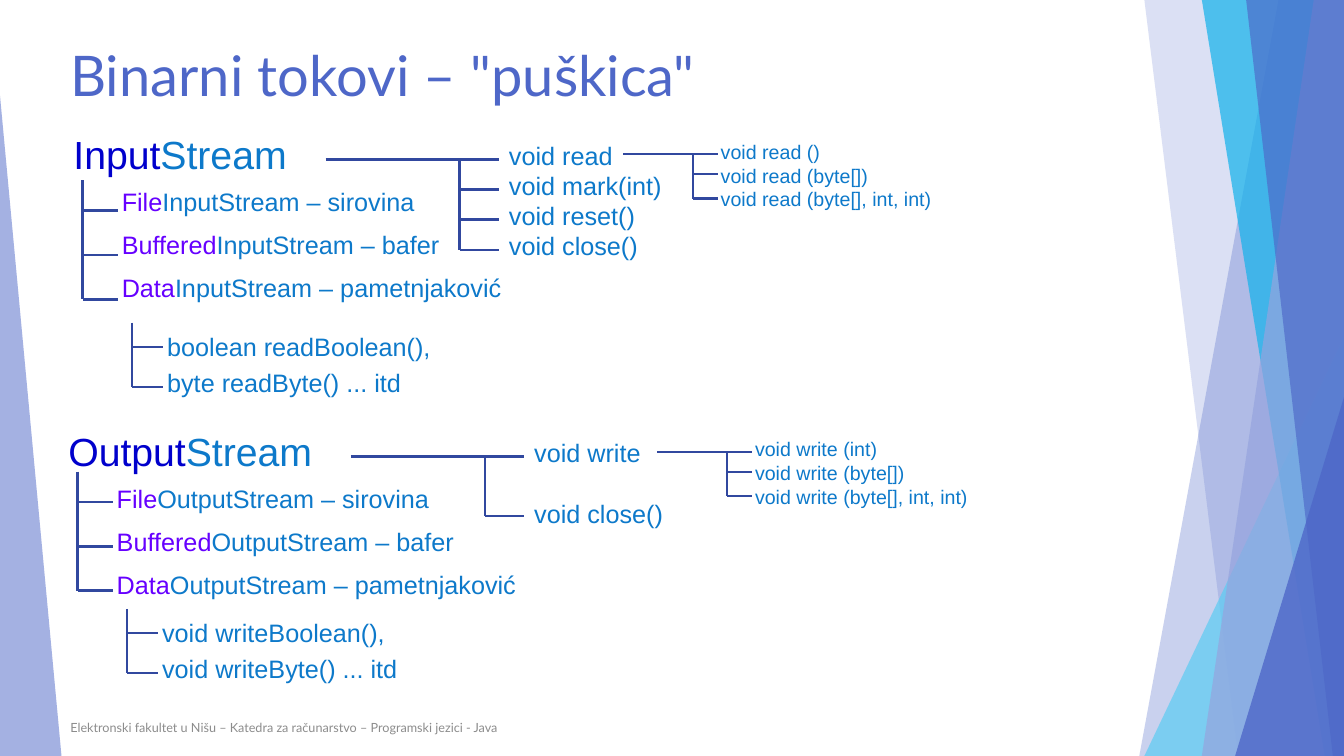
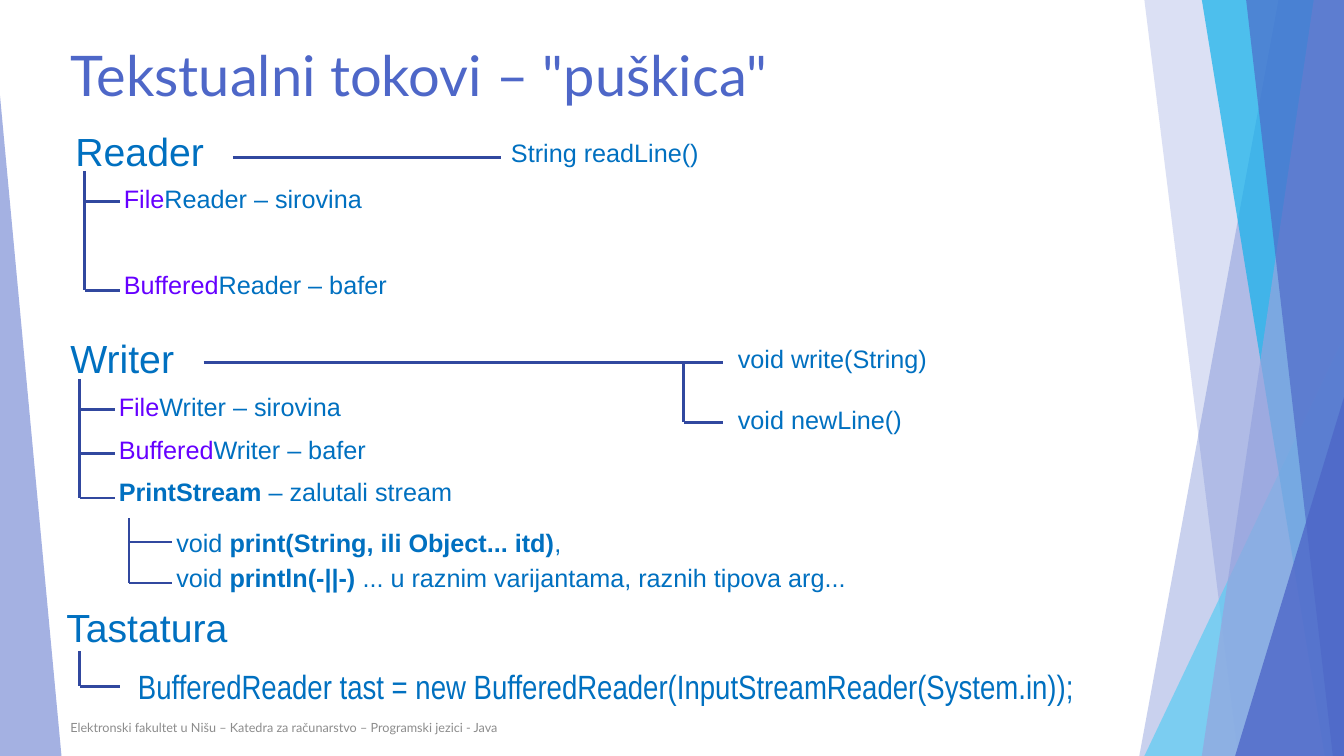
from lxml.etree import SubElement
from pptx import Presentation
from pptx.dml.color import RGBColor
from pptx.enum.shapes import MSO_CONNECTOR, MSO_SHAPE
from pptx.enum.text import MSO_ANCHOR as Anchor
from pptx.oxml.ns import qn
from pptx.util import Inches, Pt

WIDTH, HEIGHT = 13.33, 7.5
COLORS = {
    "title": "4E67C8", "footer": "8C8C8C", "line": "31489F",
    "root": "0000CC", "kind": "6600FF",
    "binary": "0D79CA", "textual": "0070C0",
    "indigo": "4E67C8", "lilac": "95A4DE", "sky": "5ECCF3", "cyan": "12B2EB",
}
FOOTER = "Elektronski fakultet u Nišu – Katedra za računarstvo – Programski jezici - Java"

# Decoration from back to front: bands as (top x, bottom x),
# triangles as (left, top, width, apex position)
DECORATION = [
    ((12.68, 11.3), "indigo", 30),
    ((11.35, 12.28), "indigo", 20),
    ((11.35, 3.34, 1.98, 1), "sky", 72),
    ((11.92, 13.14), "cyan", 70),
    ((13.03, 11.92), "lilac", 70),
    ((12.36, 13.22), "indigo", 65),
    ((12.25, 3.94, 1.08, 1), "indigo", 80),
    ((0, 0.95, 0.61, 0), "lilac", 85),
]


def rgb(name):
    return RGBColor.from_string(COLORS[name])


class Deck:
    """Holds the style and the slide being drawn."""

    line_height = 1.2

    def __init__(self):
        self.presentation = Presentation()
        self.presentation.slide_width = Inches(WIDTH)
        self.presentation.slide_height = Inches(HEIGHT)
        self.slide = None
        self.ink = None

    def new_slide(self, title, ink):
        layout = self.presentation.slide_layouts[6]
        self.slide = self.presentation.slides.add_slide(layout)
        self.ink = ink
        for geometry, color, opacity in DECORATION:
            draw = self.band if len(geometry) == 2 else self.triangle
            self.fill(draw(*geometry), color, opacity)
        self.text(0.6, 0.35, 10.98, [title], 40, font="Lato", color="title")
        self.text(0.6, 7.02, 7.03, [FOOTER], 9, font="Lato", color="footer",
                  height=0.4, anchor=Anchor.MIDDLE)

    # Decoration
    def band(self, top_x, bottom_x):
        builder = self.slide.shapes.build_freeform(Inches(top_x), 0)
        corners = [(WIDTH, 0), (WIDTH, HEIGHT), (bottom_x, HEIGHT)]
        builder.add_line_segments([(Inches(x), Inches(y)) for x, y in corners])
        return builder.convert_to_shape()

    def triangle(self, left, top, width, apex):
        shape = self.slide.shapes.add_shape(
            MSO_SHAPE.ISOSCELES_TRIANGLE, Inches(left), Inches(top),
            Inches(width), Inches(HEIGHT - top))
        shape.adjustments[0] = apex
        return shape

    def fill(self, shape, color, opacity):
        shape.shadow.inherit = False
        shape.line.fill.background()
        shape.fill.solid()
        shape.fill.fore_color.rgb = rgb(color)
        color_element = shape.fill._xPr.find(qn("a:solidFill"))[0]
        SubElement(color_element, qn("a:alpha")).set("val", str(opacity * 1000))

    # Text: a line is a string or a list of (text, style) pieces,
    # gap is the space between lines in multiples of the font size
    def text(self, left, top, width, lines, size=18, gap=0, font="Arial",
             color=None, height=None, anchor=Anchor.TOP):
        if height is None:
            height = 0.1 + len(lines) * size * self.line_height / 72
        box = self.slide.shapes.add_textbox(
            Inches(left), Inches(top), Inches(width), Inches(height))
        frame = box.text_frame
        frame.word_wrap = True
        frame.vertical_anchor = anchor
        for index, line in enumerate(lines):
            paragraph = frame.add_paragraph() if index else frame.paragraphs[0]
            paragraph.line_spacing = Pt(size * self.line_height)
            paragraph.space_before = Pt(size * gap if index else 0)
            paragraph.font.name = font
            paragraph.font.size = Pt(size)
            paragraph.font.color.rgb = rgb(color or self.ink)
            pieces = [(line, None)] if isinstance(line, str) else line
            for words, style in pieces:
                run = paragraph.add_run()
                run.text = words
                if style == "bold":
                    run.font.bold = True
                elif style:
                    run.font.color.rgb = rgb(style)

    # Lines
    def line(self, x1, y1, x2, y2, weight=2):
        connector = self.slide.shapes.add_connector(
            MSO_CONNECTOR.STRAIGHT, Inches(x1), Inches(y1), Inches(x2), Inches(y2))
        connector.line.color.rgb = rgb("line")
        connector.line.width = Pt(weight)
        SubElement(connector._element.spPr, qn("a:effectLst"))

    def bracket(self, stem, top, tip, ticks, weight=2, lead=None):
        """Vertical stem with a tick per entry; lead extends the first tick left."""
        self.line(stem, top, stem, ticks[-1], weight)
        for index, y in enumerate(ticks):
            start = lead if lead is not None and index == 0 else stem
            self.line(start, y, tip, y, weight)

    # Diagram parts
    def heading(self, left, top, pieces):
        self.text(left, top, 2.8, [pieces], 28)

    def class_tree(self, left, top, name, classes, gap=0.5,
                   ticks=(0.3, 0.74, 1.18), drop=0.49):
        self.heading(left, top, name)
        self.text(left + 0.48, top + 0.56, 4.33, classes, gap=gap)
        start = top + drop
        self.bracket(left + 0.19, start, left + 0.54, [start + y for y in ticks])

    def methods(self, left, top, width, names, lead, step=0.3, gap=0, inset=0):
        self.text(left, top, width, names, gap=gap)
        tip = left - inset
        ticks = [top + 0.24 + step * index for index in range(len(names))]
        self.bracket(tip - 0.39, ticks[0], tip, ticks, lead=lead)

    def overloads(self, left, top, names):
        self.text(left, top, 2.53, names, 14)
        ticks = [top + offset for offset in (0.19, 0.39, 0.63)]
        self.bracket(left - 0.18, ticks[0], left + 0.07, ticks, 1.5, left - 0.87)

    def members(self, left, top, width, names, indent=0.25):
        self.text(left, top, width, names, gap=0.2)
        self.bracket(left - indent, top - 0.04, left + 0.06,
                     [top + 0.2, top + 0.6], 1.5)


def stream_classes(suffix):
    kinds = [("File", "sirovina"), ("Buffered", "bafer"), ("Data", "pametnjaković")]
    return [[(kind, "kind"), (f"{suffix} – {role}", None)] for kind, role in kinds]


def binary_streams(deck):
    deck.new_slide('Binarni tokovi – "puškica"', "binary")

    # Input
    deck.class_tree(0.63, 1.24, [("Input", "root"), ("Stream", None)],
                    stream_classes("InputStream"), drop=0.55)
    deck.methods(4.95, 1.34, 1.77, ["void read", "void mark(int)",
                                    "void reset()", "void close()"], lead=3.23)
    deck.overloads(7.05, 1.34, ["void read ()", "void read (byte[])",
                                "void read (byte[], int, int)"])
    deck.members(1.56, 3.24, 2.84, ["boolean readBoolean(),",
                                    "byte readByte() ... itd"])

    # Output
    deck.class_tree(0.58, 4.19, [("Output", "root"), ("Stream", None)],
                    stream_classes("OutputStream"))
    deck.methods(5.2, 4.29, 1.77, ["void write", "void close()"],
                 lead=3.48, step=0.59, gap=1.2)
    deck.overloads(7.39, 4.29, ["void write (int)", "void write (byte[])",
                                "void write (byte[], int, int)"])
    deck.members(1.51, 6.08, 2.84, ["void writeBoolean(),",
                                    "void writeByte() ... itd"])


def textual_streams(deck):
    deck.new_slide('Tekstualni tokovi – "puškica"', "textual")

    # Reader
    deck.class_tree(0.65, 1.21, "Reader", stream_classes("Reader")[:2],
                    gap=2.2, ticks=(0.3, 1.18))
    deck.text(4.97, 1.31, 2.66, ["String readLine()"])
    deck.line(2.31, 1.56, 4.97, 1.56)

    # Writer
    print_stream = [("PrintStream", "bold"), (" – zalutali stream", None)]
    deck.class_tree(0.6, 3.27, "Writer",
                    stream_classes("Writer")[:2] + [print_stream])
    deck.methods(7.22, 3.36, 2.24, ["void write(String)", "void newLine()"],
                 lead=2.02, step=0.59, gap=1.2, inset=0.05)
    deck.members(1.65, 5.18, 7.51, [
        [("void ", None), ("print(String, ili Object... itd)", "bold"), (",", None)],
        [("void ", None), ("println(-||-)", "bold"),
         (" ... u raznim varijantama, raznih tipova arg...", None)],
    ], indent=0.37)

    # Keyboard
    deck.heading(0.56, 5.94, "Tastatura")
    deck.text(1.27, 6.56, 9.9,
              ["BufferedReader tast = new BufferedReader(InputStreamReader(System.in));"],
              24, font="Arial Narrow")
    deck.bracket(0.79, 6.46, 1.19, [6.81])


def main():
    deck = Deck()
    binary_streams(deck)
    textual_streams(deck)
    deck.presentation.save("out.pptx")


if __name__ == "__main__":
    main()
